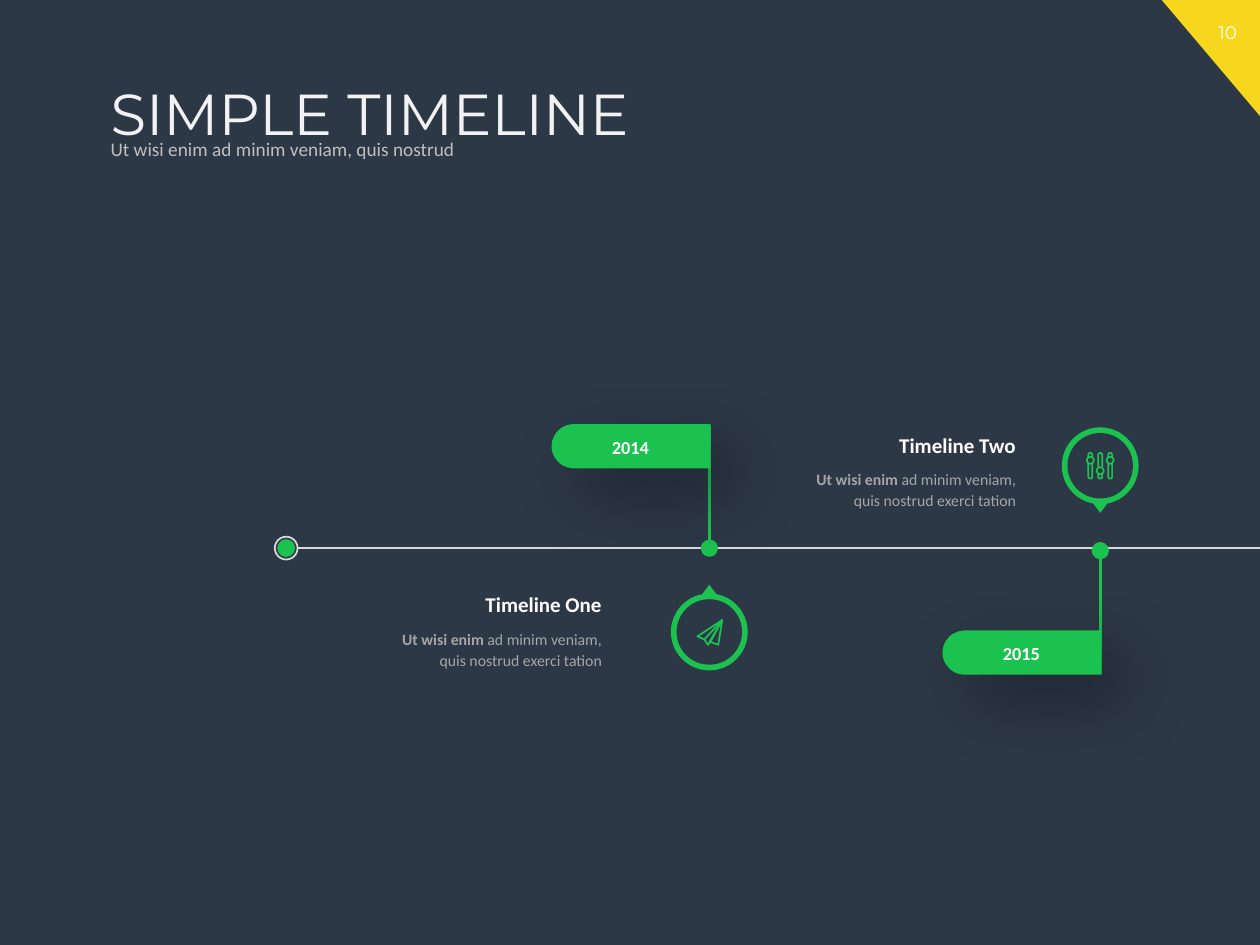
"""Build a dark timeline slide with two dated events."""
from dataclasses import dataclass

from pptx import Presentation
from pptx.dml.color import RGBColor
from pptx.enum.shapes import MSO_CONNECTOR, MSO_SHAPE
from pptx.enum.text import MSO_ANCHOR, PP_ALIGN
from pptx.oxml import parse_xml
from pptx.oxml.ns import nsdecls, qn
from pptx.oxml.xmlchemy import OxmlElement
from pptx.util import Cm, Pt

NAVY = RGBColor(0x2D, 0x38, 0x47)
GREEN = RGBColor(0x1C, 0xC2, 0x4F)
YELLOW = RGBColor(0xF6, 0xD7, 0x1E)
WHITE = RGBColor(0xFF, 0xFF, 0xFF)
PALE = RGBColor(0xF2, 0xF2, 0xF2)
LIGHT = RGBColor(0xD9, 0xD9, 0xD9)
SILVER = RGBColor(0xBF, 0xBF, 0xBF)
GREY = RGBColor(0xA6, 0xA6, 0xA6)
WIDE, AXIS = 25.4, 11.05
PLANE = [(26, -24), (-24, 9), (-10, 15), (-3, 26), (2, 20), (18, 26)]
FOLDS = [(-10, 15), (-3, 26), (2, 20)]


@dataclass(frozen=True)
class Event:
    year: str
    title: str
    x: float
    flag: float
    stem: float
    end: float
    right: float
    top: float
    badge: float
    down: bool


EVENTS = [
    Event("2014", "Timeline One", 14.3, 8.55, 8.56, AXIS, 12.38, 11.81, 12.74, False),
    Event("2015", "Timeline Two", 22.18, 12.71, 13.59, 11.1, 20.73, 8.59, 9.39, True),
]


def paint(shape, fill: RGBColor | None, line: RGBColor | None = None, width: float = 1) -> None:
    """Set fill and line, and drop the shadow."""
    shape.shadow.inherit = False
    if fill is None:
        shape.fill.background()
    else:
        shape.fill.solid()
        shape.fill.fore_color.rgb = fill
    if line is None:
        shape.line.fill.background()
    else:
        shape.line.color.rgb = line
        shape.line.width = Pt(width)


def add_shape(slide, kind, x: float, y: float, w: float, h: float, fill, line=None, width=1):
    """Add a painted preset shape."""
    shape = slide.shapes.add_shape(kind, Cm(x), Cm(y), Cm(w), Cm(h))
    paint(shape, fill, line, width)
    return shape


def add_disc(slide, x: float, y: float, size: float, fill, line=None, width=1) -> None:
    """Add a circle around a centre."""
    add_shape(slide, MSO_SHAPE.OVAL, x - size / 2, y - size / 2, size, size, fill, line, width)


def add_line(slide, x: float, y: float, to_x: float, to_y: float, color, width: float):
    """Add a straight line without a shadow."""
    line = slide.shapes.add_connector(MSO_CONNECTOR.STRAIGHT, Cm(x), Cm(y), Cm(to_x), Cm(to_y))
    line.line.color.rgb = color
    line.line.width = Pt(width)
    line._element.spPr.append(OxmlElement("a:effectLst"))
    return line


def add_text(slide, text: str, x: float, y: float, w: float, h: float, size: float, color,
             font="Calibri", bold=False, align=PP_ALIGN.LEFT, wrap=True):
    """Add a text box with one styled paragraph."""
    frame = slide.shapes.add_textbox(Cm(x), Cm(y), Cm(w), Cm(h)).text_frame
    frame.word_wrap = wrap
    frame.text = text
    part = frame.paragraphs[0]
    part.alignment = align
    style(part.runs[0], size, color, font, bold)
    return frame


def style(run, size: float, color, font: str, bold: bool) -> None:
    """Set the font of a run."""
    run.font.size = Pt(size)
    run.font.color.rgb = color
    run.font.name = font
    run.font.bold = bold


def draw_flag(slide, event: Event) -> None:
    """Draw the stem, the year flag and its label."""
    stem = add_line(slide, event.x, event.stem, event.x, event.end, GREEN, 1.5)
    tail = OxmlElement("a:tailEnd")
    for key, value in (("type", "oval"), ("w", "lg"), ("len", "lg")):
        tail.set(key, value)
    stem.line._get_or_add_ln().append(tail)
    wide, high = 3.2, 0.89
    left = event.x + 0.02 - (wide + high) / 2
    flag = add_shape(slide, MSO_SHAPE.ROUND_2_SAME_RECTANGLE, left - wide / 2 + high / 2,
                     event.flag - (wide - high) / 2, high, wide, GREEN)
    flag.left = Cm(event.x + 0.02 - (wide + high) / 2)
    flag.rotation = 270
    flag.adjustments[0] = 0.5
    flag.adjustments[1] = 0
    flag._element.spPr.find(qn("a:effectLst")).append(parse_xml(
        f'<a:outerShdw {nsdecls("a")} blurRad="{Pt(40)}" dist="{Pt(20)}" dir="2700000" '
        'algn="tl" rotWithShape="0"><a:srgbClr val="000000"><a:alpha val="40000"/>'
        '</a:srgbClr></a:outerShdw>'))
    add_text(slide, event.year, event.x - 2.76, event.flag + 0.11, 2.34, 0.71, 10.5, WHITE,
             bold=True, align=PP_ALIGN.CENTER)


def draw_note(slide, event: Event) -> None:
    """Write the title and the text of an event."""
    add_text(slide, event.title, event.right - 2.9, event.top, 2.9, 0.76, 12, WHITE,
             bold=True, align=PP_ALIGN.RIGHT, wrap=False)
    frame = add_text(slide, "Ut wisi enim ", event.right - 5.05, event.top + 0.7, 5.05, 1.19,
                     9, GREY, bold=True, align=PP_ALIGN.RIGHT)
    part = frame.paragraphs[0]
    part.line_spacing = 1.14
    part.space_before = Pt(10)
    run = part.add_run()
    run.text = "ad minim veniam, quis nostrud exerci tation"
    style(run, 9, GREY, "Calibri", False)


def draw_badge(slide, event: Event) -> None:
    """Draw the ring with its pointer."""
    add_disc(slide, event.x, event.badge, 1.55, GREEN)
    top = event.badge + (0.75 if event.down else -0.95)
    tip = add_shape(slide, MSO_SHAPE.ISOSCELES_TRIANGLE, event.x - 0.15, top, 0.3, 0.2, GREEN)
    tip.rotation = 180 if event.down else 0
    add_disc(slide, event.x, event.badge, 1.32, NAVY)


def draw_plane(slide, x: float, y: float) -> None:
    """Draw a paper plane around a centre."""
    spots = [(x * 100 + dx, y * 100 + dy) for dx, dy in PLANE]
    path = slide.shapes.build_freeform(*spots[0], scale=Cm(0.01))
    path.add_line_segments(spots[1:], close=True)
    for dx, dy in FOLDS:
        path.move_to(*spots[0])
        path.add_line_segments([(x * 100 + dx, y * 100 + dy)], close=False)
    paint(path.convert_to_shape(), None, GREEN, 1)


def draw_mixer(slide, x: float, y: float) -> None:
    """Draw three sliders around a centre."""
    for dx, dy in ((-0.2, -0.11), (0, 0.1), (0.2, -0.11)):
        bar = add_shape(slide, MSO_SHAPE.ROUNDED_RECTANGLE, x + dx - 0.04, y - 0.26,
                        0.08, 0.52, None, GREEN)
        bar.adjustments[0] = 0.5
        add_disc(slide, x + dx, y + dy, 0.14, NAVY, GREEN)


def main() -> None:
    """Build and save the slide."""
    deck = Presentation()
    deck.slide_width, deck.slide_height = Cm(WIDE), Cm(19.05)
    slide = deck.slides.add_slide(deck.slide_layouts[6])
    slide.background.fill.solid()
    slide.background.fill.fore_color.rgb = NAVY
    corner = add_shape(slide, MSO_SHAPE.RIGHT_TRIANGLE, 23.42, 0, 1.98, 2.34, YELLOW)
    corner.rotation = 180
    add_text(slide, "10", 24.1, 0.3, 1.3, 0.71, 10.5, WHITE, "Montserrat", align=PP_ALIGN.CENTER)
    title = add_text(slide, "SIMPLE TIMELINE", 1.98, 1.6, 22.5, 1.85, 33, PALE, "Montserrat")
    title.paragraphs[0].line_spacing = 0.9
    lead = add_text(slide, "Ut wisi enim ad minim veniam, quis nostrud",
                    1.98, 2.69, 18.31, 0.66, 11, SILVER)
    lead.vertical_anchor = MSO_ANCHOR.MIDDLE
    lead.paragraphs[0].line_spacing = 0.9
    add_line(slide, 6, AXIS, WIDE, AXIS, LIGHT, 1)
    for event in EVENTS:
        draw_flag(slide, event)
        draw_note(slide, event)
        draw_badge(slide, event)
    add_disc(slide, 5.77, AXIS, 0.36, GREEN)
    add_disc(slide, 5.77, AXIS, 0.46, None, LIGHT)
    draw_plane(slide, EVENTS[0].x, EVENTS[0].badge)
    draw_mixer(slide, EVENTS[1].x, EVENTS[1].badge)
    deck.save("out.pptx")


if __name__ == "__main__":
    main()
